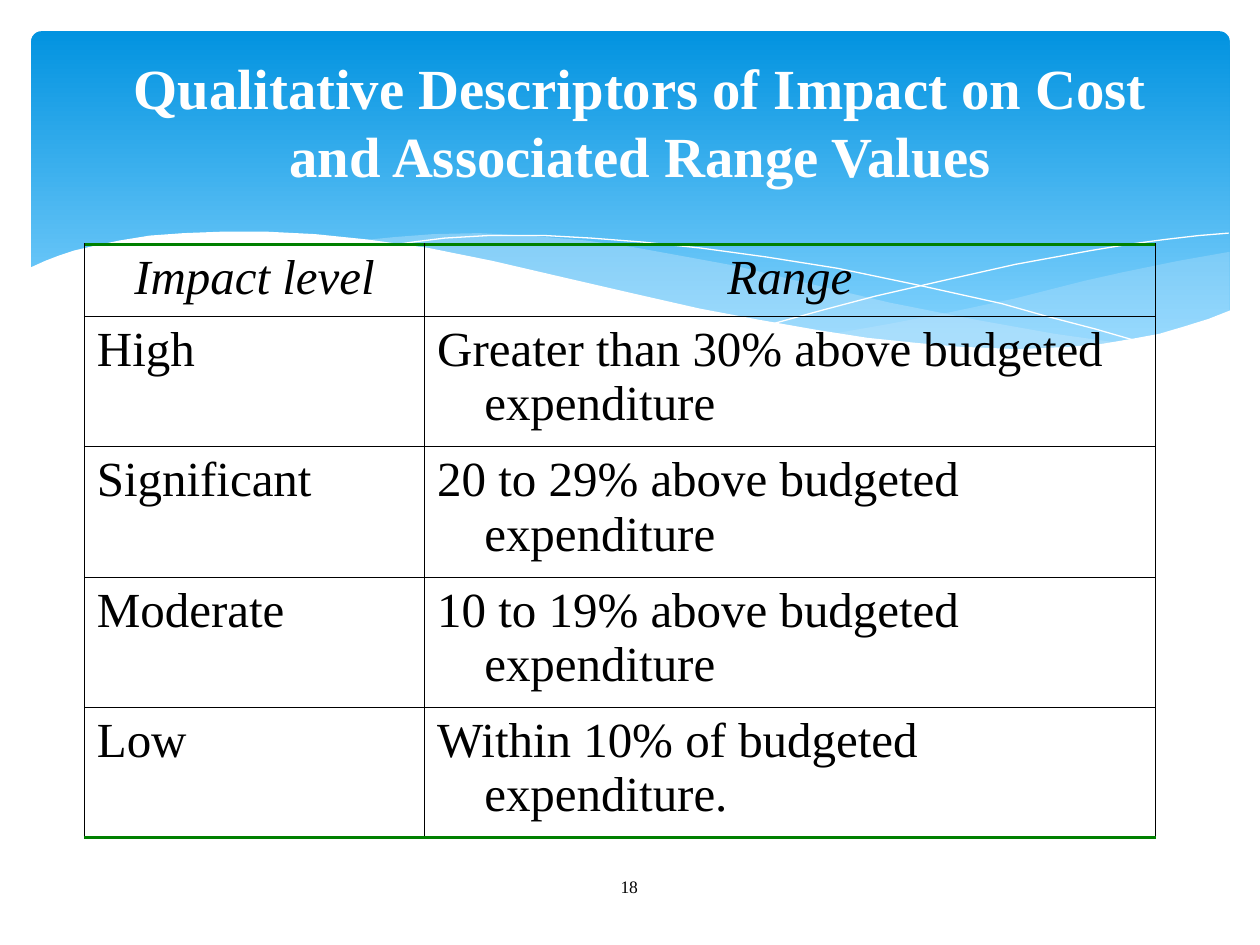
from lxml import etree
from pptx import Presentation
from pptx import util as u
from pptx.dml.color import RGBColor
from pptx.enum import shapes, text
from pptx.oxml.ns import qn

COLORS = {
    "sky": "0293E0", "pale_sky": "83D3FE", "mist": "C6E7FC",
    "white": "FFFFFF", "black": "000000", "green": "008000",
}
FONT = "Times New Roman"

RIGHT_WAVE = [
    (24.77, 5.08), (23.75, 5.26), (22.63, 5.49), (21.87, 5.66), (20.45, 6.02),
    (19.13, 6.3), (17.93, 6.53), (16.79, 6.73), (17.55, 6.83), (18.26, 6.91),
    (19.23, 7.01), (20.4, 7.06), (21.44, 7.04), (22.38, 6.93), (23.19, 6.78),
    (23.93, 6.58), (24.79, 6.27), (24.79, 5.08),
]
MIDDLE_WAVE = [
    (22.68, 6.93), (21.26, 6.73), (19.69, 6.45), (17.93, 6.1), (15.98, 5.64),
    (14.83, 5.36), (13.74, 5.16), (12.75, 4.98), (11.81, 4.85), (10.67, 4.75),
    (9.65, 4.7), (8.74, 4.72), (7.95, 4.78), (7.26, 4.85), (8.2, 4.98),
    (9.19, 5.16), (10.26, 5.36), (11.4, 5.64), (12.47, 5.89), (13.46, 6.1),
    (14.83, 6.4), (16.1, 6.63), (17.27, 6.81), (18.34, 6.96), (19.33, 7.04),
    (20.22, 7.06), (21.29, 7.06), (22.02, 7.01),
]
FALLING_CURVE = [
    (7.85, 4.95), (8.33, 4.88), (8.97, 4.8), (9.83, 4.75), (11, 4.75),
    (11.91, 4.8), (12.95, 4.88), (14.12, 5), (15.44, 5.18), (16.89, 5.41),
    (18.47, 5.74), (20.19, 6.12), (21.11, 6.38), (22.07, 6.63), (23.04, 6.91),
]
RISING_CURVE = [
    (15.57, 6.53), (16.59, 6.25), (17.65, 5.97), (19, 5.66), (20.47, 5.33),
    (22, 5.05), (22.73, 4.93), (23.47, 4.83), (24.16, 4.75), (24.77, 4.7),
]
WHITE_WAVE = [
    (24.82, 6.25), (24.36, 6.43), (23.88, 6.58), (23.37, 6.73), (22.83, 6.83),
    (22.23, 6.93), (21.59, 6.99), (20.55, 7.04), (19.33, 6.99), (18.44, 6.91),
    (17.48, 6.81), (16.46, 6.65), (15.32, 6.45), (14.1, 6.22), (12.78, 5.92),
    (11.35, 5.59), (9.93, 5.26), (8.64, 5), (7.42, 4.83), (6.35, 4.72),
    (5.36, 4.67), (4.5, 4.67), (3.71, 4.7), (3.02, 4.75), (2.41, 4.85),
    (1.93, 4.95), (1.5, 5.05), (1.17, 5.16), (0.91, 5.26), (0.58, 5.41),
    (0.58, 8.36), (24.82, 8.36),
]
IMPACT_ROWS = [
    ("Impact level", "Range"),
    ("High", "Greater than 30% above budgeted expenditure"),
    ("Significant", "20 to 29% above budgeted expenditure"),
    ("Moderate", "10 to 19% above budgeted expenditure"),
    ("Low", "Within 10% of budgeted expenditure."),
]


def rgb(name):
    return RGBColor.from_string(COLORS[name])


class SlideBuilder:
    def __init__(self, slide):
        self.slide = slide

    def banner(self, left, top, width, height):
        shape = self.slide.shapes.add_shape(
            shapes.MSO_SHAPE.ROUNDED_RECTANGLE, *map(u.Cm, (left, top, width, height)))
        shape.adjustments[0] = 0.03
        shape.shadow.inherit = False
        shape.line.fill.background()
        shape.fill.gradient()
        shape.fill.gradient_angle = 270
        for stop, name, position in zip(
                shape.fill.gradient_stops, ("sky", "pale_sky"), (0, 0.9)):
            stop.color.rgb = rgb(name)
            stop.position = position

    def outline(self, points, fill=None, alpha=100, line=None):
        start, *rest = [(u.Cm(x), u.Cm(y)) for x, y in points]
        builder = self.slide.shapes.build_freeform(*start)
        builder.add_line_segments(rest, close=fill is not None)
        shape = builder.convert_to_shape()
        shape.shadow.inherit = False
        if fill:
            shape.fill.solid()
            shape.fill.fore_color.rgb = rgb(fill)
            if alpha < 100:
                color = shape._element.spPr.find(".//" + qn("a:srgbClr"))
                etree.SubElement(color, qn("a:alpha"), val=str(alpha * 1000))
        else:
            shape.fill.background()
        if line:
            shape.line.color.rgb = rgb(line)
            shape.line.width = 0
        else:
            shape.line.fill.background()

    def add_span(self, para, content, size, color="black", bold=False, italic=False):
        span = para.add_run()
        span.text = content
        span.font.name = FONT
        span.font.size = u.Pt(size)
        span.font.bold = bold
        span.font.italic = italic
        span.font.color.rgb = rgb(color)

    def label(self, left, top, width, height, content, size, bottom=0.13, **style):
        box = self.slide.shapes.add_textbox(*map(u.Cm, (left, top, width, height)))
        frame = box.text_frame
        frame.word_wrap = True
        frame.vertical_anchor = text.MSO_ANCHOR.MIDDLE
        frame.margin_bottom = u.Cm(bottom)
        para = frame.paragraphs[0]
        para.alignment = text.PP_ALIGN.CENTER
        self.add_span(para, content, size, **style)

    def border(self, cell, side, color, width):
        edge = etree.SubElement(
            cell._tc.get_or_add_tcPr(), qn("a:ln" + side), w=str(u.Pt(width)))
        fill = etree.SubElement(edge, qn("a:solidFill"))
        etree.SubElement(fill, qn("a:srgbClr"), val=COLORS[color])

    def table(self, left, top, widths, heights, rows):
        frame = self.slide.shapes.add_table(
            len(rows), len(widths), u.Cm(left), u.Cm(top),
            u.Cm(sum(widths)), u.Cm(sum(heights)))
        table = frame.table
        table.first_row = table.horz_banding = False
        for column, width in zip(table.columns, widths):
            column.width = u.Cm(width)
        for r, (row, height) in enumerate(zip(rows, heights)):
            table.rows[r].height = u.Cm(height)
            for c, content in enumerate(row):
                cell = table.cell(r, c)
                para = cell.text_frame.paragraphs[0]
                para.alignment = text.PP_ALIGN.LEFT if r else text.PP_ALIGN.CENTER
                indent = para._p.get_or_add_pPr()
                indent.set("marL", str(u.Cm(0.95)))
                indent.set("indent", str(-u.Cm(0.95)))
                self.add_span(para, content, 28, italic=r == 0)
                outer = {"T": r == 0, "B": r == len(rows) - 1}
                for side in "LRTB":
                    style = ("green", 2) if outer.get(side) else ("black", 0.75)
                    self.border(cell, side, *style)
                cell.fill.background()


deck = Presentation()
deck.slide_width, deck.slide_height = u.Cm(25.4), u.Cm(19.05)
page = SlideBuilder(deck.slides.add_slide(deck.slide_layouts[6]))

page.banner(0.63, 0.63, 24.16, 6.86)
page.outline(RIGHT_WAVE, fill="mist", alpha=29)
page.outline(MIDDLE_WAVE, fill="mist", alpha=40)
page.outline(FALLING_CURVE, line="white")
page.outline(RISING_CURVE, line="white")
page.outline(WHITE_WAVE, fill="white")
page.label(11.07, 17.37, 3.23, 1.02, "18", 10)
page.label(1.5, 1.32, 22.81, 3.18,
           "Qualitative Descriptors of Impact on Cost and Associated Range Values",
           32.4, bottom=1.07, color="white", bold=True)
page.table(1.7, 4.93, [6.86, 14.73], [1.45] + [2.62] * 4, IMPACT_ROWS)

deck.save("out.pptx")
